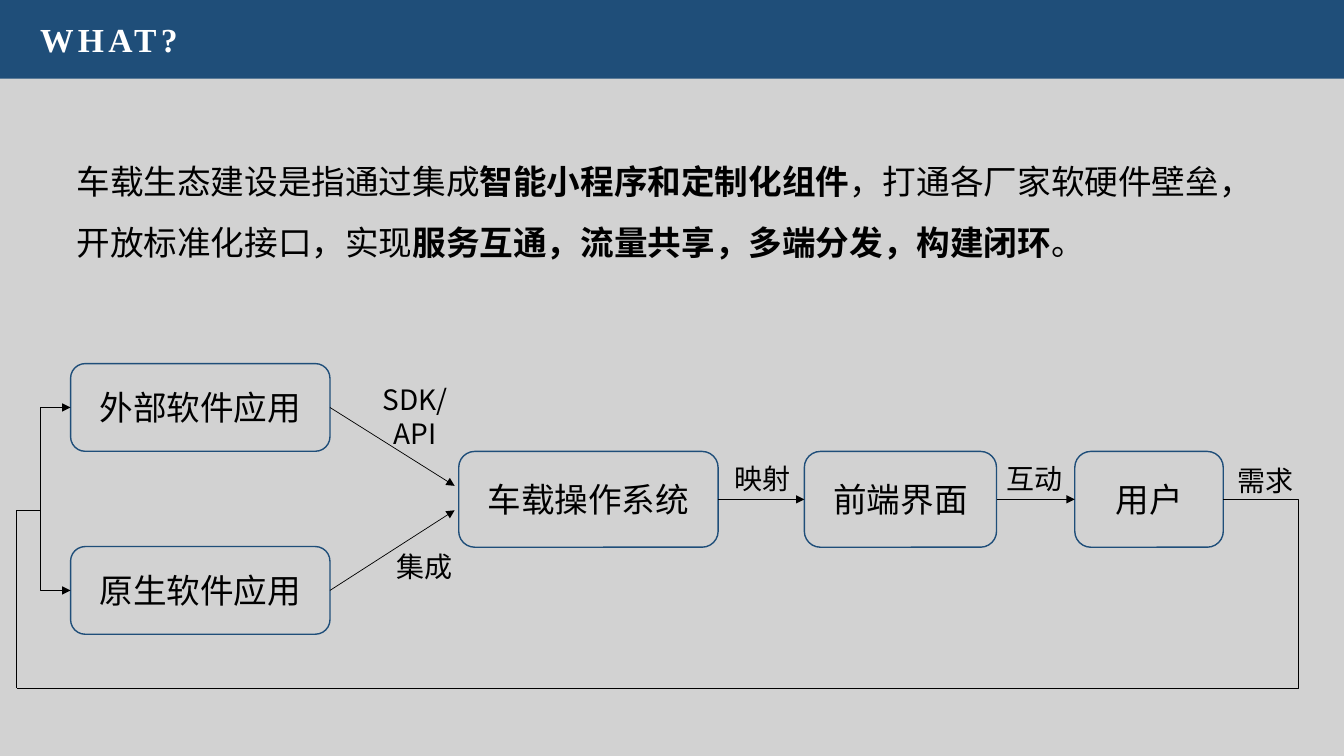
from pptx import Presentation
from pptx.dml.color import RGBColor
from pptx.enum.shapes import MSO_CONNECTOR, MSO_SHAPE
from pptx.enum.text import MSO_ANCHOR, PP_ALIGN
from pptx.oxml.ns import qn
from pptx.util import Inches, Pt
from lxml.etree import SubElement

NAVY = RGBColor(0x1F, 0x4E, 0x79)
GREY = RGBColor(0xD2, 0xD2, 0xD2)
BLACK = RGBColor(0, 0, 0)
WHITE = RGBColor(255, 255, 255)
SANS = "Noto Sans CJK SC"
SERIF = "Times New Roman"

deck = Presentation()
deck.slide_width, deck.slide_height = Inches(13.33), Inches(7.5)
slide = deck.slides.add_slide(deck.slide_layouts[6])
slide.background.fill.solid()
slide.background.fill.fore_color.rgb = GREY
shapes = slide.shapes

# Grid of 100 columns by 100 rows
COL = deck.slide_width / 100
ROW = deck.slide_height / 100


def write(frame, lines, size=24, color=BLACK, face=SANS, align=PP_ALIGN.CENTER):
    """Fill a frame; each line is a list of (text, bold) runs."""
    frame.word_wrap = True
    for i, line in enumerate(lines):
        para = frame.add_paragraph() if i else frame.paragraphs[0]
        para.alignment = align
        for text, bold in line:
            run = para.add_run()
            run.text = text
            font = run.font
            font.size, font.bold, font.name = Pt(size), bold, face
            font.color.rgb = color
            SubElement(font._element, qn("a:ea")).set("typeface", face)


def link(start, end, arrow=True, bend=None):
    """Join two grid points; bend is the elbow's share of the width."""
    kind = MSO_CONNECTOR.STRAIGHT if bend is None else MSO_CONNECTOR.ELBOW
    line = shapes.add_connector(kind, *(
        int(n * unit) for n, unit in zip(start + end, (COL, ROW) * 2)))
    line.line.color.rgb = BLACK
    line.line.width = Pt(0.5)
    props = line._element.spPr
    if arrow:
        tail = SubElement(props.find(qn("a:ln")), qn("a:tailEnd"))
        tail.set("type", "triangle")
    if bend is not None:
        guide = SubElement(props.find(qn("a:prstGeom")).get_or_add_avLst(), qn("a:gd"))
        guide.set("name", "adj1")
        guide.set("fmla", f"val {round(bend * 100000)}")
    SubElement(props, qn("a:effectLst"))


# Header
head = shapes.add_group_shape().shapes
bar = head.add_shape(MSO_SHAPE.RECTANGLE, int(-0.3 * COL), int(-0.13 * ROW),
                     int(100.3 * COL), int(10.53 * ROW))
bar.shadow.inherit = False
bar.fill.solid()
bar.fill.fore_color.rgb = NAVY
bar.line.fill.background()
title = head.add_textbox(int(2.25 * COL), int(1.87 * ROW),
                         int(58.4 * COL), int(6.67 * ROW)).text_frame
write(title, [[("WHAT?", True)]], 24, WHITE, SERIF, PP_ALIGN.LEFT)
title.paragraphs[0].runs[0].font._element.set("spc", "300")

# Definition
body = shapes.add_textbox(int(4.95 * COL), int(18 * ROW),
                          int(90.3 * COL), int(17.5 * ROW)).text_frame
write(body, [[
    ("车载生态建设是指通过集成", False),
    ("智能小程序和定制化组件", True),
    ("，打通各厂家软硬件壁垒，开放标准化接口，实现", False),
    ("服务互通，流量共享，多端分发，构建闭环", True),
    ("。", False),
]], align=PP_ALIGN.LEFT)
body.paragraphs[0].line_spacing = 1.5

# Boxes: text, left, width, middle row, height
TOP, MID, LOW = 53.9, 66.05, 78.1
APP, SYS, VIEW, USER = 5.25, 34.13, 59.85, 79.97
WIDE, HALF, SLIM = 19.3, 14.3, 11.05
for text, left, width, mid, tall in (
    ("外部软件应用", APP, WIDE, TOP, 11.6),
    ("原生软件应用", APP, WIDE, LOW, 11.6),
    ("车载操作系统", SYS, WIDE, MID, 12.67),
    ("前端界面", VIEW, HALF, MID, 12.67),
    ("用户", USER, SLIM, MID, 12.67),
):
    box = shapes.add_shape(MSO_SHAPE.ROUNDED_RECTANGLE, int(left * COL),
                           int((mid - tall / 2) * ROW),
                           int(width * COL), int(tall * ROW))
    box.shadow.inherit = False
    box.fill.background()
    box.line.color.rgb = NAVY
    box.line.width = Pt(1)
    box.text_frame.vertical_anchor = MSO_ANCHOR.MIDDLE
    write(box.text_frame, [[(text, False)]])

# Forward arrows
link((APP + WIDE, TOP), (SYS - 0.3, 64.27))
link((APP + WIDE, LOW), (SYS - 0.3, 67.5))
link((SYS + WIDE, MID), (VIEW, MID))
link((VIEW + HALF, MID), (USER, MID))

# Feedback loop from the user back to both applications
EDGE, FORK, BASE, JOIN = 1.25, 3, 91.05, 67.5
link((USER + SLIM, MID), (EDGE, BASE), False, -0.062)
link((EDGE, BASE), (EDGE, JOIN), False)
link((EDGE, JOIN), (FORK, JOIN), False)
for row in (TOP, LOW):
    link((FORK, JOIN), (APP, row), True, 0)

# Arrow labels
for words, left, top in (
    (("SDK/", "API"), 26.8, 50),
    (("集成",), 27.53, 72),
    (("映射",), 52.65, 60.4),
    (("互动",), 72.9, 60.4),
    (("需求",), 90.1, 60.65),
):
    tag = shapes.add_textbox(int(left * COL), int(top * ROW),
                             int(8.18 * COL), int((1.5 + 4.4 * len(words)) * ROW))
    write(tag.text_frame, [[(word, False)] for word in words], 20)

deck.save("out.pptx")
